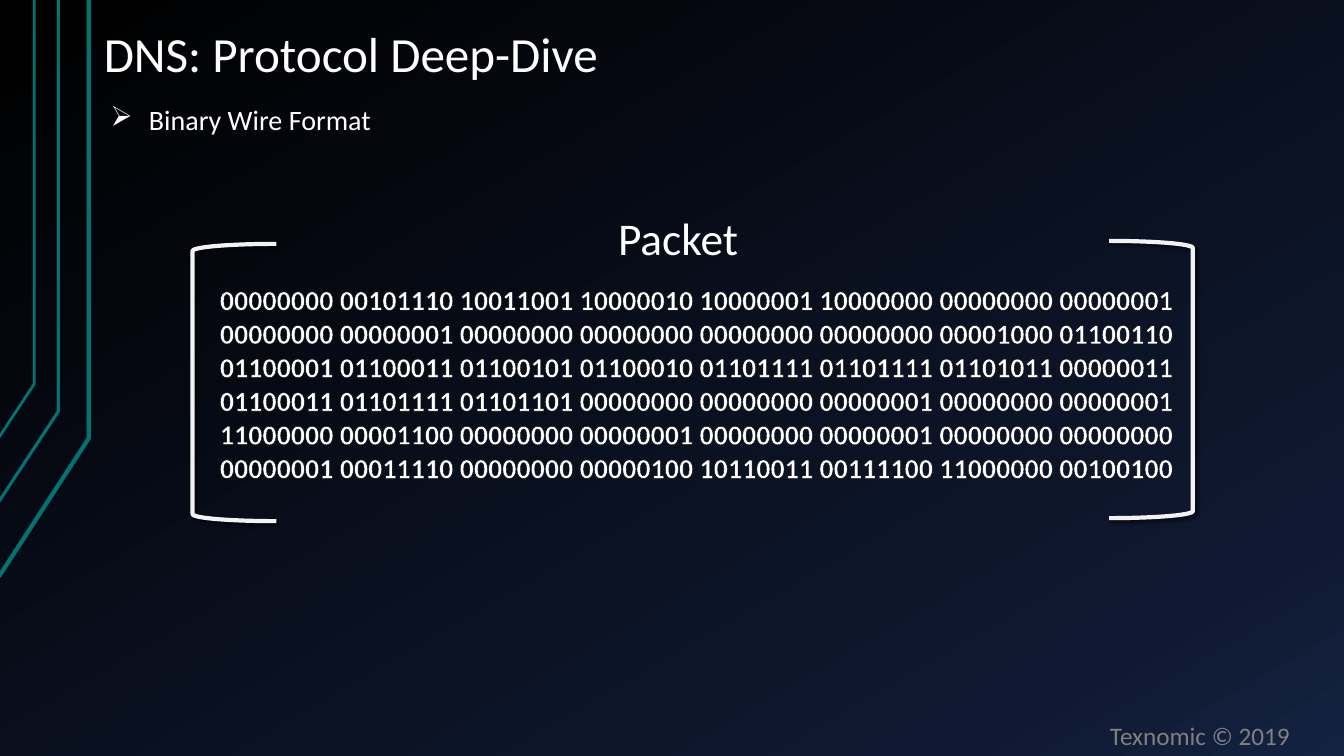
from copy import deepcopy

from lxml import etree
from pptx import Presentation
from pptx.dml.color import RGBColor
from pptx.enum.shapes import MSO_SHAPE
from pptx.enum.text import MSO_ANCHOR, MSO_AUTO_SIZE, PP_ALIGN
from pptx.oxml import parse_xml
from pptx.oxml.ns import qn
from pptx.util import Inches, Pt

LEFT_BRACKET, RIGHT_BRACKET = MSO_SHAPE.LEFT_BRACKET, MSO_SHAPE.RIGHT_BRACKET
TOP, MIDDLE = MSO_ANCHOR.TOP, MSO_ANCHOR.MIDDLE
LEFT, CENTER = PP_ALIGN.LEFT, PP_ALIGN.CENTER
GROW, FIXED = MSO_AUTO_SIZE.SHAPE_TO_FIT_TEXT, MSO_AUTO_SIZE.NONE

WHITE = RGBColor(0xFF, 0xFF, 0xFF)
BRACKET_WHITE = RGBColor(0xF2, 0xF2, 0xF2)
GRAY = RGBColor(0x80, 0x80, 0x80)
TEAL = RGBColor(0x00, 0x73, 0x73)
BLACK = RGBColor(0x00, 0x00, 0x00)
NAVY = RGBColor(0x0F, 0x19, 0x31)
BLUE = RGBColor(0x14, 0x22, 0x42)

NAMESPACE = 'xmlns:a="http://schemas.openxmlformats.org/drawingml/2006/main"'

presentation = Presentation()
presentation.slide_width = Inches(13.33)
presentation.slide_height = Inches(7.5)
slide = presentation.slides.add_slide(presentation.slide_layouts[6])


def place(*shares):
    """Turn alternating x and y percentages of the slide into lengths."""
    sizes = (presentation.slide_width, presentation.slide_height)
    return [round(share * sizes[i % 2] / 100) for i, share in enumerate(shares)]


def add_text(text, area, size, color=WHITE, align=LEFT, **frame_format):
    box = slide.shapes.add_textbox(*place(*area))
    frame = box.text_frame
    frame.word_wrap = True
    for name, value in frame_format.items():
        setattr(frame, name, value)
    paragraph = frame.paragraphs[0]
    paragraph.alignment = align
    run = paragraph.add_run()
    run.text = text
    for name, value in {"name": "Calibri", "size": Pt(size)}.items():
        setattr(run.font, name, value)
    run.font.color.rgb = color
    return paragraph


# Background gradient
fill = slide.background.fill
fill.gradient()
fill.gradient_angle = 300
first_stop = fill._fill._gradFill.find(qn("a:gsLst"))[0]
first_stop.addnext(deepcopy(first_stop))
for stop, (position, color) in zip(
        fill.gradient_stops, [(0, BLACK), (0.85, NAVY), (1, BLUE)]):
    stop.position = position
    stop.color.rgb = color

# Bent lines down the left edge: edge point, bend point, width
for edge, bend, width in [
    ((-0.08, 76.27), (6.6, 58), 3),
    ((-0.15, 66.53), (4.35, 54.4), 2.25),
    ((-0.08, 57.87), (2.55, 50.8), 2),
]:
    builder = slide.shapes.build_freeform(*place(*edge))
    builder.add_line_segments([place(*bend), place(bend[0], 0)], close=False)
    bent_line = builder.convert_to_shape()
    bent_line.shadow.inherit = False
    bent_line.fill.background()
    bent_line.line.color.rgb = TEAL
    bent_line.line.width = Pt(width)

# Packet bytes, wrapped by the box
PACKET = (
    "00000000 00101110 10011001 10000010 10000001 10000000 00000000 00000001 "
    "00000000 00000001 00000000 00000000 00000000 00000000 00001000 01100110 "
    "01100001 01100011 01100101 01100010 01101111 01101111 01101011 00000011 "
    "01100011 01101111 01101101 00000000 00000000 00000001 00000000 00000001 "
    "11000000 00001100 00000000 00000001 00000000 00000001 00000000 00000000 "
    "00000001 00011110 00000000 00000100 10110011 00111100 11000000 00100100"
)
packet_bytes = add_text(PACKET, (13.13, 36.67, 77.49, 28.27), 20,
                        align=CENTER, auto_size=GROW)
byte_font = packet_bytes.runs[0].font
byte_font.bold = True
byte_font._element.insert(0, parse_xml(
    f'<a:ln {NAMESPACE} w="9525"><a:solidFill><a:srgbClr val="{BLACK}"/>'
    '</a:solidFill></a:ln>'))

# Title and packet heading
HEADING = {"vertical_anchor": MIDDLE, "auto_size": FIXED,
           "margin_left": Inches(0.13), "margin_right": Inches(0.13),
           "margin_top": Inches(0.07), "margin_bottom": Inches(0.07)}
for text, area, size, spacing in [
    ("DNS: Protocol Deep-Dive", (6.75, 3.6, 85, 8.27), 35.1, 0.8),
    ("Packet", (45.01, 27.47, 11.55, 8.8), 32.4, 0.9),
]:
    add_text(text, area, size, **HEADING).line_spacing = spacing

# Bullet and footer
LABEL = {"vertical_anchor": TOP, "auto_size": GROW, "word_wrap": False}
bullet = add_text("Binary Wire Format", (7.5, 12.93, 21, 5.87), 20, **LABEL)
properties = bullet._p.get_or_add_pPr()
properties.set("marL", str(Inches(0.38)))
properties.set("indent", str(-Inches(0.38)))
etree.SubElement(properties, qn("a:buChar")).set("char", "➢")
add_text("Texnomic © 2019", (81.85, 94.67, 15.45, 5.33), 18, GRAY, **LABEL)

# Brackets around the packet
for preset, left, top in [(LEFT_BRACKET, 14.33, 32.27),
                          (RIGHT_BRACKET, 82.52, 31.87)]:
    bracket = slide.shapes.add_shape(preset, *place(left, top, 6.23, 36.67))
    bracket.shadow.inherit = False
    bracket.fill.background()
    bracket.line.color.rgb = BRACKET_WHITE
    bracket.line.width = Pt(3)
    bracket._element.spPr.find(qn("a:effectLst")).append(parse_xml(
        f'<a:outerShdw {NAMESPACE} blurRad="{Pt(3)}" dist="{Pt(2)}" dir="2700000">'
        f'<a:srgbClr val="{BLACK}"><a:alpha val="60000"/></a:srgbClr>'
        '</a:outerShdw>'))

presentation.save("out.pptx")
